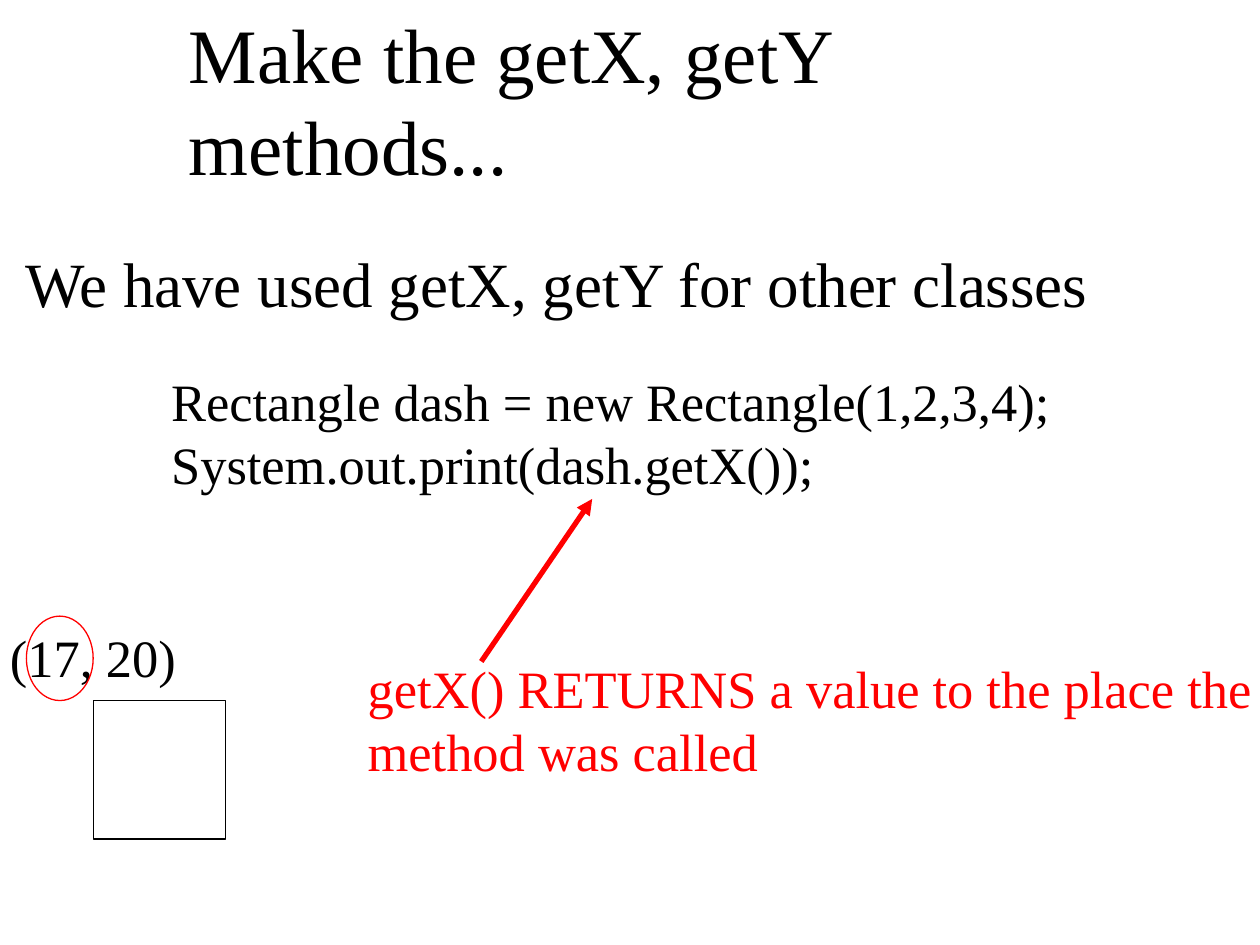
"""Build a slide that explains how getX returns a value to its caller."""
from dataclasses import dataclass

from lxml import etree
from pptx import Presentation
from pptx.dml.color import RGBColor
from pptx.enum.shapes import MSO_CONNECTOR, MSO_SHAPE
from pptx.enum.text import MSO_ANCHOR, PP_ALIGN
from pptx.oxml.ns import qn
from pptx.util import Inches, Pt

STRAIGHT = MSO_CONNECTOR.STRAIGHT
RECTANGLE, OVAL = MSO_SHAPE.RECTANGLE, MSO_SHAPE.OVAL
TOP, LEFT = MSO_ANCHOR.TOP, PP_ALIGN.LEFT


@dataclass(frozen=True)
class Theme:
    """Colours, font, type sizes and line widths."""
    ink: RGBColor = RGBColor(0, 0, 0)
    accent: RGBColor = RGBColor(255, 0, 0)
    font: str = "Times New Roman"
    title: int = 44
    lead: int = 36
    body: int = 30
    thin: float = 0.75
    thick: float = 3


@dataclass(frozen=True)
class Box:
    """A frame in inches."""
    left: float
    top: float
    width: float
    height: float

    def emu(self) -> list:
        """Return the frame as slide lengths."""
        return [Inches(v) for v in (self.left, self.top, self.width, self.height)]


@dataclass(frozen=True)
class Label:
    """A text block with its frame and format."""
    text: str
    box: Box
    size: int
    color: RGBColor
    pad: float = 0.1


@dataclass(frozen=True)
class Outline:
    """An unfilled shape."""
    kind: int
    box: Box
    color: RGBColor


THEME = Theme()
SQUARE = Box(0.74, 5.56, 1.05, 1.1)
RING = Box(0.21, 4.89, SQUARE.left - 0.21, SQUARE.top - 4.89)

LABELS = [
    Label("Make the getX, getY methods...", Box(1.4, 0, 7.04, 0.83),
          THEME.title, THEME.ink, 0.05),
    Label("We have used getX, getY for other classes", Box(0.1, 1.89, 9.81, 0.83),
          THEME.lead, THEME.ink, 0.05),
    Label("Rectangle dash = new Rectangle(1,2,3,4);\nSystem.out.print(dash.getX());",
          Box(1.26, 2.83, 8.03, 2.28), THEME.body, THEME.ink),
    Label("getX() RETURNS a value to the place the method was called",
          Box(2.82, 5.11, 8.03, 0.94), THEME.body, THEME.accent),
    Label("(17, 20)", Box(-0.02, 4.86, 1.56, 0.55), THEME.body, THEME.ink),
]
OUTLINES = [
    Outline(RECTANGLE, SQUARE, THEME.ink),
    Outline(OVAL, RING, THEME.accent),
]


def add_text(s, text: str, *, box: Box, size: int, color: RGBColor, pad: float) -> None:
    """Add a text box with one paragraph for each line of text."""
    tf = s.shapes.add_textbox(*box.emu()).text_frame
    tf.word_wrap = True
    tf.vertical_anchor = TOP
    tf.margin_left = tf.margin_right = Inches(0.1)
    tf.margin_top = tf.margin_bottom = Inches(pad)
    tf.text = text
    for p in tf.paragraphs:
        p.alignment = LEFT
        for r in p.runs:
            r.font.name = THEME.font
            r.font.size = Pt(size)
            r.font.color.rgb = color


def add_outline(s, outline: Outline) -> None:
    """Add an unfilled shape with a thin line."""
    sp = s.shapes.add_shape(outline.kind, *outline.box.emu())
    sp.shadow.inherit = False
    sp.fill.background()
    sp.line.color.rgb = outline.color
    sp.line.width = Pt(THEME.thin)


def add_arrow(s, start: tuple[float, float], end: tuple[float, float]) -> None:
    """Add a thick accent arrow."""
    arrow = s.shapes.add_connector(STRAIGHT, *[Inches(v) for v in start + end])
    arrow.line.color.rgb = THEME.accent
    arrow.line.width = Pt(THEME.thick)
    etree.SubElement(arrow.line._get_or_add_ln(), qn("a:tailEnd"), type="triangle")
    etree.SubElement(arrow._element.spPr, qn("a:effectLst"))


def main() -> None:
    """Build and save the slide."""
    prs = Presentation()
    prs.slide_width, prs.slide_height = Inches(10), Inches(7.5)
    s = prs.slides.add_slide(prs.slide_layouts[6])
    for label in LABELS:
        add_text(s, label.text, box=label.box, size=label.size,
                 color=label.color, pad=label.pad)
    add_arrow(s, (3.82, 5.25), (4.7, 3.96))
    for outline in OUTLINES:
        add_outline(s, outline)
    prs.save("out.pptx")


main()
